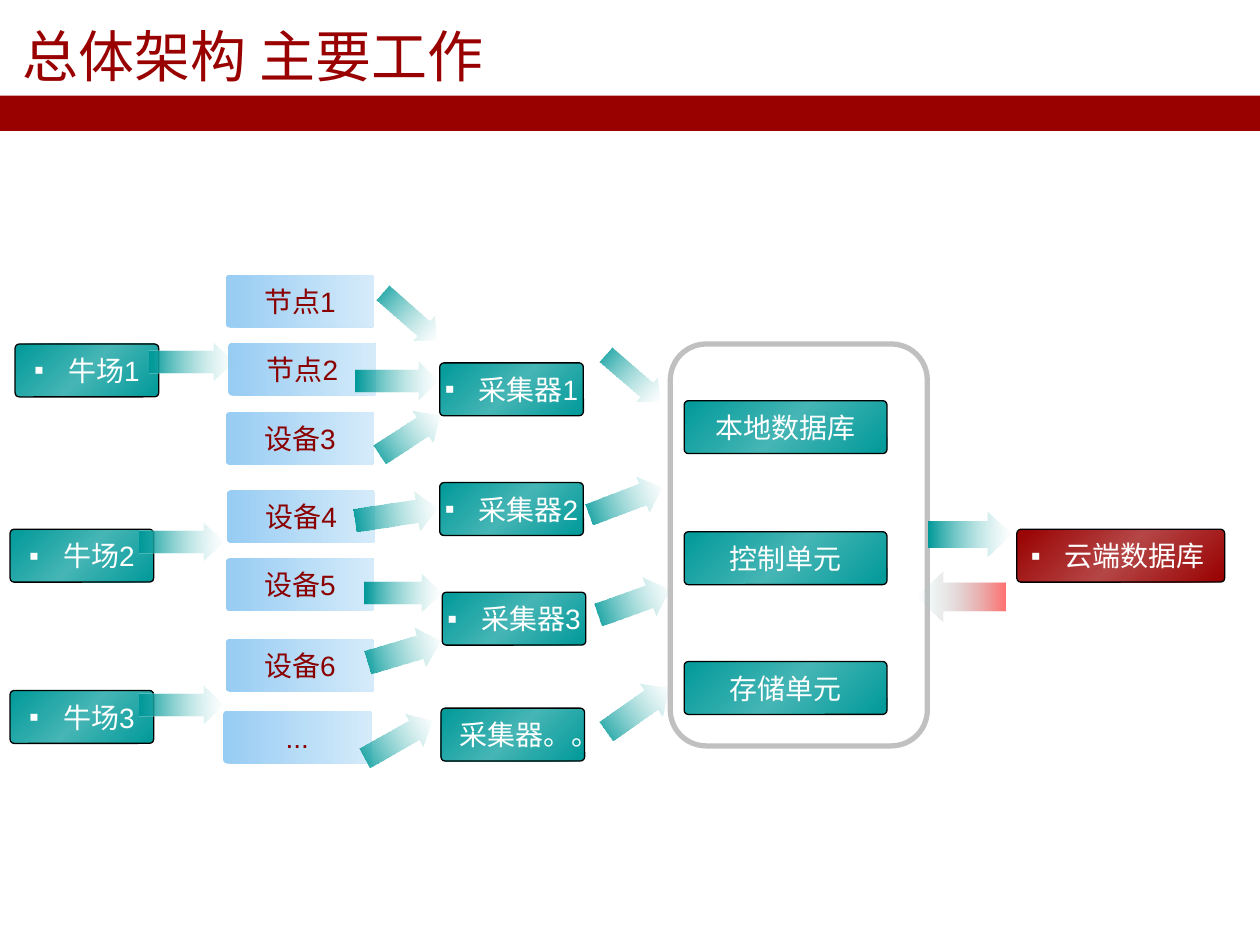
from lxml import etree
from pptx import Presentation, util as u
from pptx.dml.color import RGBColor
from pptx.enum import shapes, text
from pptx.oxml.ns import qn

PX = 9144  # 100 px to the inch
RED = RGBColor(0x99, 0x00, 0x00)
RED_LIGHT = RGBColor(0xB5, 0x46, 0x46)
DARK_RED = RGBColor(0x8A, 0x00, 0x00)
PINK = RGBColor(0xFF, 0x70, 0x70)
TEAL = RGBColor(0x00, 0x99, 0x99)
TEAL_LIGHT = RGBColor(0x46, 0xB5, 0xB5)
TEAL_PALE = RGBColor(0x9B, 0xD7, 0xD7)
BLUE = RGBColor(0x97, 0xCC, 0xF3)
BLUE_PALE = RGBColor(0xD5, 0xEB, 0xFA)
GRAY = RGBColor(0xC0, 0xC0, 0xC0)
BLACK = RGBColor(0, 0, 0)
WHITE = RGBColor(255, 255, 255)

prs = Presentation()
prs.slide_width, prs.slide_height = 1000 * PX, 750 * PX
s = prs.slides.add_slide(prs.slide_layouts[6])


def add_shape(kind, x, y, w, h, colors, angle=0, fade=False, line=None, line_pt=0.75):
    """Add a shape with one solid colour or evenly spaced gradient colours; fade clears the last."""
    sp = s.shapes.add_shape(kind, x * PX, y * PX, w * PX, h * PX)
    sp.shadow.inherit = False
    if line is None:
        sp.line.fill.background()
    else:
        sp.line.color.rgb = line
        sp.line.width = u.Pt(line_pt)
    if len(colors) == 1:
        sp.fill.solid()
        sp.fill.fore_color.rgb = colors[0]
        return sp
    sp.fill.gradient()
    sp.fill.gradient_angle = angle
    stops = next(sp._element.spPr.iter(qn("a:gsLst")))
    for stop in list(stops):
        stops.remove(stop)
    for i, color in enumerate(colors):
        stop = etree.SubElement(stops, qn("a:gs"), pos=str(100000 * i // (len(colors) - 1)))
        clr = etree.SubElement(stop, qn("a:srgbClr"), val=str(color))
    if fade:
        etree.SubElement(clr, qn("a:alpha"), val="0")
    return sp


def write(sp, content, size=16, color=WHITE, bullet=False, anchor=text.MSO_ANCHOR.MIDDLE):
    tf = sp.text_frame
    tf.word_wrap = False
    tf.vertical_anchor = anchor
    p = tf.paragraphs[0]
    p.alignment = text.PP_ALIGN.CENTER
    r = p.add_run()
    r.text = content
    r.font.name = "Arial"
    r.font.size = u.Pt(size)
    r.font.color.rgb = color
    if bullet:
        pPr = p._p.get_or_add_pPr()
        pPr.set("marL", str(22 * PX))
        pPr.set("indent", str(-22 * PX))
        bu_clr = etree.SubElement(pPr, qn("a:buClr"))
        etree.SubElement(bu_clr, qn("a:srgbClr"), val=str(color))
        etree.SubElement(pPr, qn("a:buFont"), typeface="Arial")
        etree.SubElement(pPr, qn("a:buChar"), char="▪")


# Title and band
add_shape(shapes.MSO_SHAPE.RECTANGLE, 0, 76, 1000, 28, [RED])
title = s.shapes.add_textbox(8 * PX, 12 * PX, 386 * PX, 64 * PX)
write(title, "总体架构 主要工作", size=32, color=RED, anchor=text.MSO_ANCHOR.TOP)

# Server panel
panel = add_shape(shapes.MSO_SHAPE.ROUNDED_RECTANGLE, 532, 273, 204, 319, [WHITE],
                  line=GRAY, line_pt=3)
panel.adjustments[0] = 0.14

# Boxes: farms, nodes, collectors, server units, cloud
node = dict(colors=[BLUE, BLUE_PALE])
teal = dict(colors=[TEAL, TEAL_LIGHT, TEAL], angle=315, line=BLACK)
cloud = dict(colors=[RED, RED_LIGHT, RED], angle=315, line=BLACK)
boxes = [
    (node, 118, DARK_RED, False, [
        ("节点1", 179, 218), ("节点2", 181, 272), ("设备3", 179, 327), ("设备4", 180, 389),
        ("设备5", 179, 443), ("设备6", 179, 507), ("...", 177, 564)]),
    (teal, 114, WHITE, True, [
        (" 牛场1", 12, 273), (" 牛场2", 8, 420), (" 牛场3", 8, 548),
        (" 采集器1", 349, 288), (" 采集器2", 349, 383), (" 采集器3", 351, 470),
        (" 采集器。。", 350, 562)]),
    (teal, 161, WHITE, False, [
        ("本地数据库", 543, 318), ("控制单元", 543, 422), ("存储单元", 543, 525)]),
    (cloud, 165, WHITE, True, [(" 云端数据库 ", 807, 420)]),
]
for style, width, color, bullet, items in boxes:
    for label, x, y in items:
        sp = add_shape(shapes.MSO_SHAPE.ROUNDED_RECTANGLE, x, y, width, 42, **style)
        sp.adjustments[0] = 0.08
        write(sp, label, color=color, bullet=bullet)

# Arrows: left, top, width, height, rotation, tail colour
arrows = [
    # farms to nodes
    (137, 254, 30, 66, 90, TEAL), (129, 397, 30, 66, 90, TEAL), (129, 526, 30, 66, 90, TEAL),
    # nodes to collectors
    (312, 223, 26, 56, 131.4, TEAL), (300, 269, 30, 66, 90, TEAL), (310, 317, 30, 56, 57, TEAL),
    (299, 375, 31, 66, 81.5, TEAL), (305, 440, 30, 61, 90, TEAL), (305, 487, 32, 60, 73.6, TEAL),
    (301, 556, 30, 61, 61, TEAL),
    # collectors to server
    (489, 272, 26, 56, 131.4, TEAL), (481, 367, 30, 61, 69.7, TEAL),
    (487, 448, 32, 60, 70.6, TEAL), (490, 533, 32, 60, 55, TEAL),
    # server to cloud and back
    (752, 391, 36, 66, 90, TEAL), (743, 438, 39, 71, 270, PINK),
]
for x, y, w, h, rotation, color in arrows:
    sp = add_shape(shapes.MSO_SHAPE.UP_ARROW, x, y, w, h, [color, TEAL_PALE], angle=90, fade=True)
    sp.adjustments[0], sp.adjustments[1] = 0.58, 0.54
    sp.rotation = rotation

prs.save("out.pptx")
